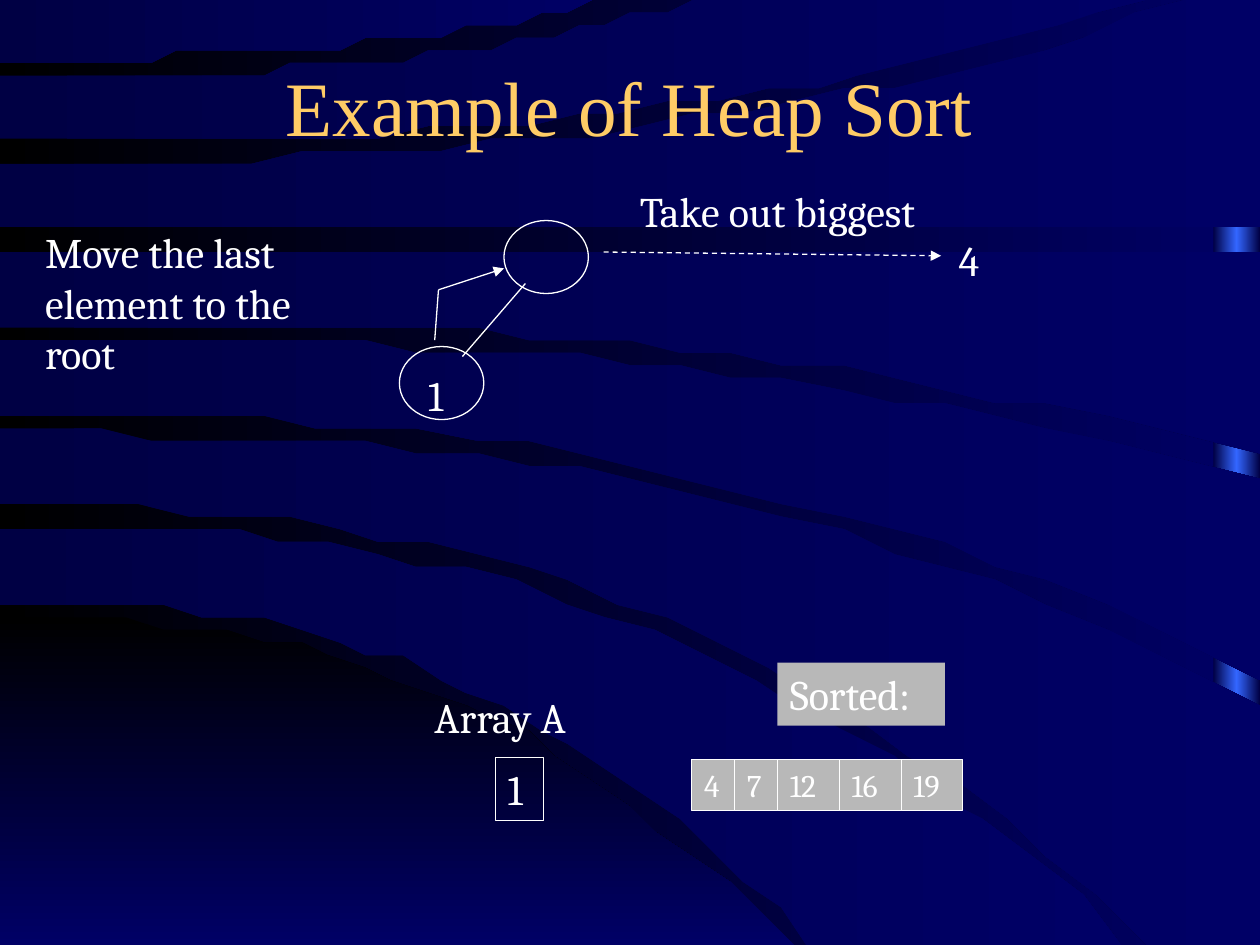
from copy import deepcopy
from typing import NamedTuple

from pptx import Presentation
from pptx.dml.color import RGBColor
from pptx.enum.dml import MSO_LINE_DASH_STYLE as Dash
from pptx.enum.shapes import MSO_CONNECTOR, MSO_SHAPE as Shape
from pptx.enum.text import MSO_ANCHOR, PP_ALIGN
from pptx.oxml.ns import qn
from pptx.oxml.xmlchemy import OxmlElement
from pptx.util import Inches, Pt

COLUMNS, ROWS = 100, 75
CELL = Inches(0.1)
WHITE, GREY, GOLD = "FFFFFF", "B8B8B8", "FFCC66"
BLACK, NAVY, BLUE, GLOW = "000000", "000044", "000066", "3366FF"
EDGE_STEPS, EDGE_BEND = 24, 2.5


class Box(NamedTuple):
    """Left, top, width and height in grid cells."""
    left: float
    top: float
    width: float
    height: float


class Edge(NamedTuple):
    """A curve that leaves the left side level and bends to its end."""
    start_row: float
    end_column: float
    end_row: float

    def points(self) -> list:
        shares = [step / EDGE_STEPS for step in range(EDGE_STEPS + 1)]
        rise = self.end_row - self.start_row
        return [(share * self.end_column, self.start_row + rise * share ** EDGE_BEND)
                for share in shares]


class Band(NamedTuple):
    upper: Edge
    lower: Edge


class Link(NamedTuple):
    start: tuple
    end: tuple
    arrow: bool = False
    dashed: bool = False


class Label(NamedTuple):
    text: str
    box: Box
    size: int = 24
    fill: str = ""
    border: str = ""


WEDGE = Band(Edge(49.1, 62.8, ROWS), Edge(ROWS, 62.8, ROWS))
BANDS = [
    Band(Edge(41.8, 89.3, 74.8), Edge(47.7, 64.2, 74.8)),
    Band(Edge(34.4, COLUMNS, 56), Edge(40.3, 90.9, 74.8)),
    Band(Edge(26.9, COLUMNS, 37.9), Edge(33, COLUMNS, 54.2)),
    Band(Edge(19.6, COLUMNS, 19.6), Edge(25.5, COLUMNS, 36.4)),
    Band(Edge(12.8, 94.3, 0), Edge(18.2, COLUMNS, 18.2)),
    Band(Edge(6.1, 55, 0), Edge(11.4, 91.3, 0)),
    Band(Edge(0, 49.2, 0), Edge(4.7, 49.2, 0)),
]
NODES = [Box(40, 17.5, 6.7, 5.8), Box(31.7, 27.5, 6.7, 5.8)]
LINKS = [
    Link((41.7, 22.5), (36.7, 28.3)),
    Link((47.9, 20), (74.7, 20.3), arrow=True, dashed=True),
    Link((34.5, 27), (34.8, 23)),
    Link((34.8, 23), (40, 21.3), arrow=True),
]
LABELS = [
    Label("4", Box(75.1, 18.1, 3.8, 5)),
    Label("1", Box(33, 28.8, 3.8, 5)),
    Label("Array A", Box(33.5, 54.4, 14.3, 5)),
    Label("1", Box(39.3, 60.1, 3.8, 5), border=WHITE),
    Label("Move the last\nelement to the\nroot", Box(2.6, 17.5, 25.1, 13)),
    Label("Take out biggest", Box(49.8, 14.2, 27.5, 5)),
    Label("Sorted:", Box(61.7, 52.6, 13.3, 5), fill=GREY),
]
SORTED_VALUES = ["4", "7", "12", "16", "19"]
SORTED_LEFT, SORTED_TOP, SORTED_HEIGHT = 54.9, 60.3, 4


def rgb(value: str) -> RGBColor:
    return RGBColor.from_string(value)


def cells(*lengths: float) -> list:
    return [round(length * CELL) for length in lengths]


def set_gradient(fill, colours: list, angle: int = 0) -> None:
    fill.gradient()
    fill.gradient_angle = angle
    first = fill.gradient_stops[0]._gs
    for _ in colours[2:]:
        first.addnext(deepcopy(first))
    for index, (stop, colour) in enumerate(zip(fill.gradient_stops, colours)):
        stop.position = index / (len(colours) - 1)
        stop.color.rgb = rgb(colour)


def add_band(slide, band: Band, colours: list, angle: int = 0) -> None:
    """Fill between two edges, squaring off the end where one is shorter."""
    corner = (max(edge.end_column for edge in band),
              min(band, key=lambda edge: edge.end_column).end_row)
    points = band.upper.points() + [corner] + band.lower.points()[::-1]
    builder = slide.shapes.build_freeform(*points[0], scale=CELL)
    builder.add_line_segments(points[1:], close=True)
    outline = builder.convert_to_shape()
    outline.shadow.inherit = False
    outline.line.fill.background()
    set_gradient(outline.fill, colours, angle)


def add_plain(slide, kind, box: Box, fill: str = "", border: str = "", weight: float = 0.25):
    """Add a preset shape with no shadow; an empty colour means none."""
    shape = slide.shapes.add_shape(kind, *cells(*box))
    shape.shadow.inherit = False
    for part, colour in ((shape.fill, fill), (shape.line.fill, border)):
        if colour:
            part.solid()
            part.fore_color.rgb = rgb(colour)
        else:
            part.background()
    if border:
        shape.line.width = Pt(weight)
    return shape


def write(frame, text: str, *, size: int, font: str = "Cambria", colour: str = WHITE,
          align=PP_ALIGN.LEFT, anchor=MSO_ANCHOR.TOP) -> None:
    frame.text = text
    frame.word_wrap = True
    frame.vertical_anchor = anchor
    for paragraph in frame.paragraphs:
        paragraph.alignment = align
        paragraph.font.size = Pt(size)
        paragraph.font.name = font
        paragraph.font.color.rgb = rgb(colour)


def add_label(slide, label: Label) -> None:
    if label.fill or label.border:
        holder = add_plain(slide, Shape.RECTANGLE, label.box, label.fill, label.border)
    else:
        holder = slide.shapes.add_textbox(*cells(*label.box))
    holder.text_frame.margin_right = 0
    write(holder.text_frame, label.text, size=label.size)


def add_link(slide, link: Link) -> None:
    line = slide.shapes.add_connector(MSO_CONNECTOR.STRAIGHT, *cells(*link.start, *link.end))
    line.line.color.rgb = rgb(WHITE)
    line.line.width = Pt(0.75)
    if link.dashed:
        line.line.dash_style = Dash.DASH
    properties = line._element.spPr
    if link.arrow:
        head = OxmlElement("a:tailEnd")
        head.set("type", "triangle")
        properties.find(qn("a:ln")).append(head)
    properties.append(OxmlElement("a:effectLst"))


def add_backdrop(slide) -> None:
    set_gradient(slide.background.fill, [BLACK, BLUE])
    strip = add_plain(slide, Shape.RECTANGLE, Box(96.3, 0, 3.7, ROWS))
    set_gradient(strip.fill, [NAVY, GLOW, NAVY])
    add_band(slide, WEDGE, [BLACK, BLUE], angle=270)
    for band in BANDS:
        add_band(slide, band, [NAVY, BLUE])


def add_sorted_row(slide) -> None:
    left = SORTED_LEFT
    for value in SORTED_VALUES:
        width = 1.9 + 1.5 * len(value)
        box = Box(left, SORTED_TOP, width, SORTED_HEIGHT)
        add_label(slide, Label(value, box, size=18, fill=GREY, border=WHITE))
        left += width


def main() -> None:
    deck = Presentation()
    deck.slide_width, deck.slide_height = cells(COLUMNS, ROWS)
    slide = deck.slides.add_slide(deck.slide_layouts[5])
    add_backdrop(slide)
    for node in NODES:
        add_plain(slide, Shape.OVAL, node, border=WHITE, weight=0.75)
    for link in LINKS:
        add_link(slide, link)
    for label in LABELS:
        add_label(slide, label)
    add_sorted_row(slide)

    title = slide.shapes.title
    title.left, title.top, title.width, title.height = cells(3.3, 4.2, 93.3, 8.3)
    write(title.text_frame, "Example of Heap Sort", size=44, font="Times New Roman",
          colour=GOLD, align=PP_ALIGN.CENTER, anchor=MSO_ANCHOR.MIDDLE)
    slide.shapes._spTree.append(title._element)  # in front of the bands
    deck.save("out.pptx")


if __name__ == "__main__":
    main()
